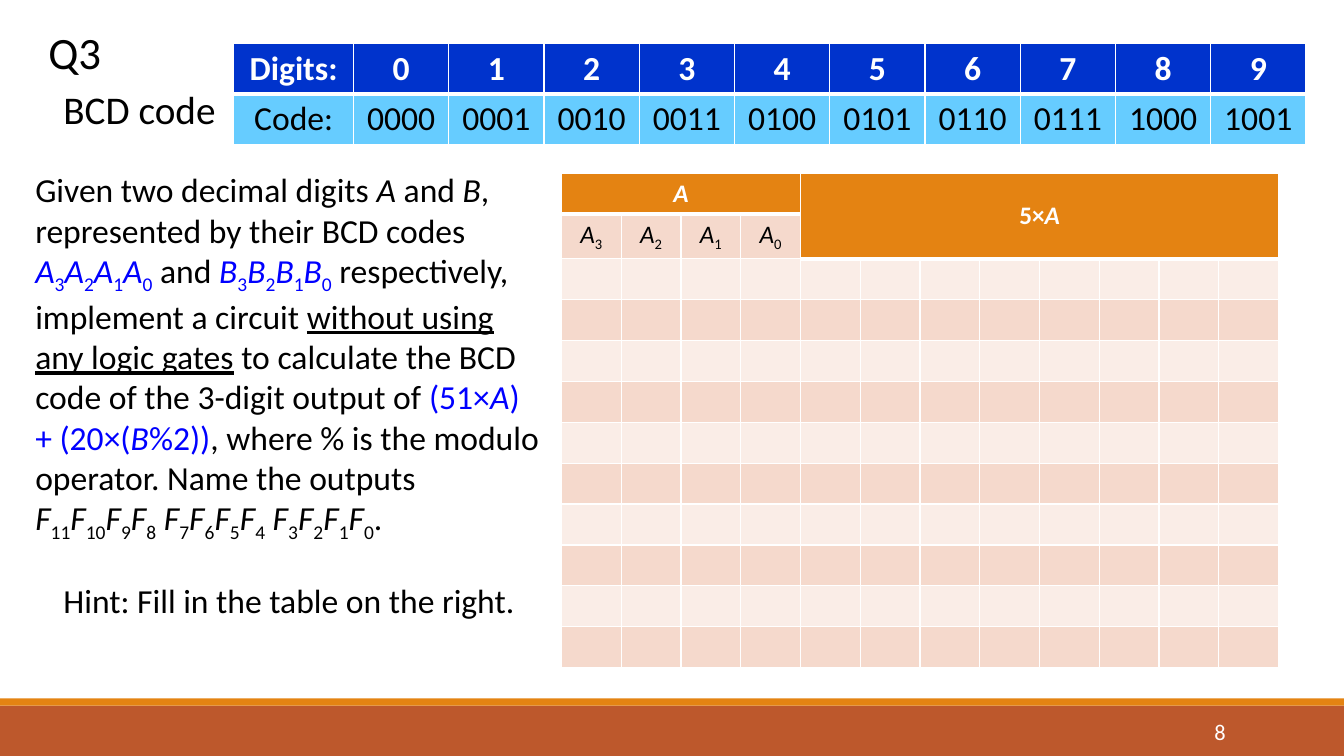
import pptx
import pptx.dml.color
import pptx.enum.shapes
import pptx.enum.text
import pptx.oxml
import pptx.oxml.ns
import pptx.util
from pptx.util import Cm

BLACK, WHITE, BLUE = "000000", "FFFFFF", "0000FF"
ORANGE, RUST = "E48312", "BD582C"
NAVY, SKY = "0033CC", "66CCFF"
BANDS = ("FAEDE7", "F5D9CC")
ALIGN = pptx.enum.text.PP_ALIGN
MIDDLE = pptx.enum.text.MSO_ANCHOR.MIDDLE


def rgb(value):
    return pptx.dml.color.RGBColor.from_string(value)


def add_run(paragraph, text, size=24, color=BLACK, bold=False, italic=False,
            underline=False, subscript=False):
    run = paragraph.add_run()
    run.text = text
    font = run.font
    font.name = "Calibri"
    font.size = pptx.util.Pt(size)
    font.color.rgb = rgb(color)
    font.bold, font.italic, font.underline = bold, italic, underline
    if subscript:
        run.font._element.set("baseline", "-25000")


def italic(text, **style):
    return text, dict(style, italic=True)


def bits(letter, high, low, **style):
    """Runs for an italic letter with subscripts counting down."""
    runs = []
    for index in range(high, low - 1, -1):
        runs += [italic(letter, **style),
                 (str(index), dict(style, subscript=True))]
    return runs


def set_borders(cell, top=1, bottom=1):
    properties = cell._tc.get_or_add_tcPr()
    for side, width in (("L", 1), ("R", 1), ("T", top), ("B", bottom)):
        properties.append(pptx.oxml.parse_xml(
            f'<a:ln{side} {pptx.oxml.ns.nsdecls("a")} w="{width * 12700}">'
            f'<a:solidFill><a:srgbClr val="{WHITE}"/></a:solidFill>'
            f'</a:ln{side}>'))


class SlideBuilder:
    def __init__(self, slide, **style):
        self.slide = slide
        self.style = style

    def add_runs(self, paragraph, runs, **style):
        """Add a string or a list of (text, format) runs."""
        if isinstance(runs, str):
            runs = [(runs, {})]
        for text, extra in runs:
            add_run(paragraph, text, **{**self.style, **style, **extra})

    def bar(self, top, height, color):
        shape = self.slide.shapes.add_shape(
            pptx.enum.shapes.MSO_SHAPE.RECTANGLE,
            0, Cm(top), Cm(33.87), Cm(height))
        shape.shadow.inherit = False
        shape.fill.solid()
        shape.fill.fore_color.rgb = rgb(color)
        shape.line.fill.background()

    def text(self, left, top, width, height, runs, align=ALIGN.LEFT,
             anchor=pptx.enum.text.MSO_ANCHOR.TOP, spacing=None, **style):
        shape = self.slide.shapes.add_textbox(
            Cm(left), Cm(top), Cm(width), Cm(height))
        frame = shape.text_frame
        frame.word_wrap = True
        frame.vertical_anchor = anchor
        paragraph = frame.paragraphs[0]
        paragraph.alignment = align
        paragraph.line_spacing = spacing
        self.add_runs(paragraph, runs, **style)

    def table(self, left, top, widths, heights):
        shape = self.slide.shapes.add_table(
            len(heights), len(widths), Cm(left), Cm(top),
            Cm(sum(widths)), Cm(sum(heights)))
        table = shape.table
        table.first_row = table.horz_banding = False
        for column, width in zip(table.columns, widths):
            column.width = Cm(width)
        for row, height in zip(table.rows, heights):
            row.height = Cm(height)
        return table

    def cell(self, cell, fill, runs=None, top=1, bottom=1, **style):
        set_borders(cell, top, bottom)
        cell.fill.solid()
        cell.fill.fore_color.rgb = rgb(fill)
        if runs:
            paragraph = cell.text_frame.paragraphs[0]
            paragraph.alignment = ALIGN.CENTER
            self.add_runs(paragraph, runs, **style)


def add_code_table(builder):
    table = builder.table(5.89, 1.09, [3.02] + [2.4] * 10, [1.27] * 2)
    digits = ["Digits:"] + [str(digit) for digit in range(10)]
    codes = ["Code:"] + [f"{digit:04b}" for digit in range(10)]
    for column, (digit, code) in enumerate(zip(digits, codes)):
        builder.cell(table.cell(0, column), NAVY, digit, bottom=3,
                     color=WHITE, bold=True)
        builder.cell(table.cell(1, column), SKY, code, top=3)


def add_answer_table(builder):
    table = builder.table(14.15, 4.37, [18.08 / 12] * 12,
                          [1.03, 1.1] + [1.03] * 10)
    header = {"size": 18, "color": WHITE, "bold": True}
    labels = {0: [italic("A")], 4: [("5×", {}), italic("A")]}
    for column in range(12):
        builder.cell(table.cell(0, column), ORANGE, labels.get(column),
                     bottom=3, **header)
        if column < 4:
            builder.cell(table.cell(1, column), BANDS[1],
                         bits("A", 3 - column, 3 - column), top=3, size=18)
        else:
            builder.cell(table.cell(1, column), ORANGE, bottom=3)
        for row in range(2, 12):
            under_header = row == 2 and column >= 4
            builder.cell(table.cell(row, column), BANDS[row % 2],
                         top=3 if under_header else 1)
    table.cell(0, 0).merge(table.cell(0, 3))
    table.cell(0, 4).merge(table.cell(1, 11))
    table.cell(0, 4).vertical_anchor = MIDDLE


def main():
    presentation = pptx.Presentation()
    presentation.slide_width = Cm(33.87)
    presentation.slide_height = Cm(19.05)
    slide = presentation.slides.add_slide(presentation.slide_layouts[6])
    builder = SlideBuilder(slide, size=24, color=BLACK)

    builder.bar(17.78, 1.27, RUST)
    builder.bar(17.6, 0.18, ORANGE)
    builder.text(1.35, 2.03, 4.78, 1.45, "BCD code", size=28)
    builder.text(27.51, 17.93, 3.63, 1.02, "8", align=ALIGN.RIGHT,
                 anchor=MIDDLE, size=16, color=WHITE)
    builder.text(0.97, 0.66, 2.51, 1.6, "Q3", spacing=0.9, size=32)
    add_code_table(builder)

    question = [
        ("Given two decimal digits ", {}), italic("A"), (" and ", {}),
        italic("B"), (", represented by their BCD codes ", {}),
        *bits("A", 3, 0, color=BLUE), (" and ", {}),
        *bits("B", 3, 0, color=BLUE),
        (" respectively, implement a circuit ", {}),
        ("without using any logic gates", {"underline": True}),
        (" to calculate the BCD code of the 3-digit output of ", {}),
        ("(51×", {"color": BLUE}), italic("A", color=BLUE),
        (") + (20×(", {"color": BLUE}), italic("B", color=BLUE),
        ("%2))", {"color": BLUE}),
        (", where % is the modulo operator. Name the outputs ", {}),
        *bits("F", 11, 8), (" ", {}), *bits("F", 7, 4), (" ", {}),
        *bits("F", 3, 0), (".", {}),
    ]
    builder.text(0.64, 4.14, 13.26, 9.5, question)
    add_answer_table(builder)
    builder.text(1.35, 14.48, 12.24, 1.27,
                 "Hint: Fill in the table on the right.")
    presentation.save("out.pptx")


if __name__ == "__main__":
    main()
